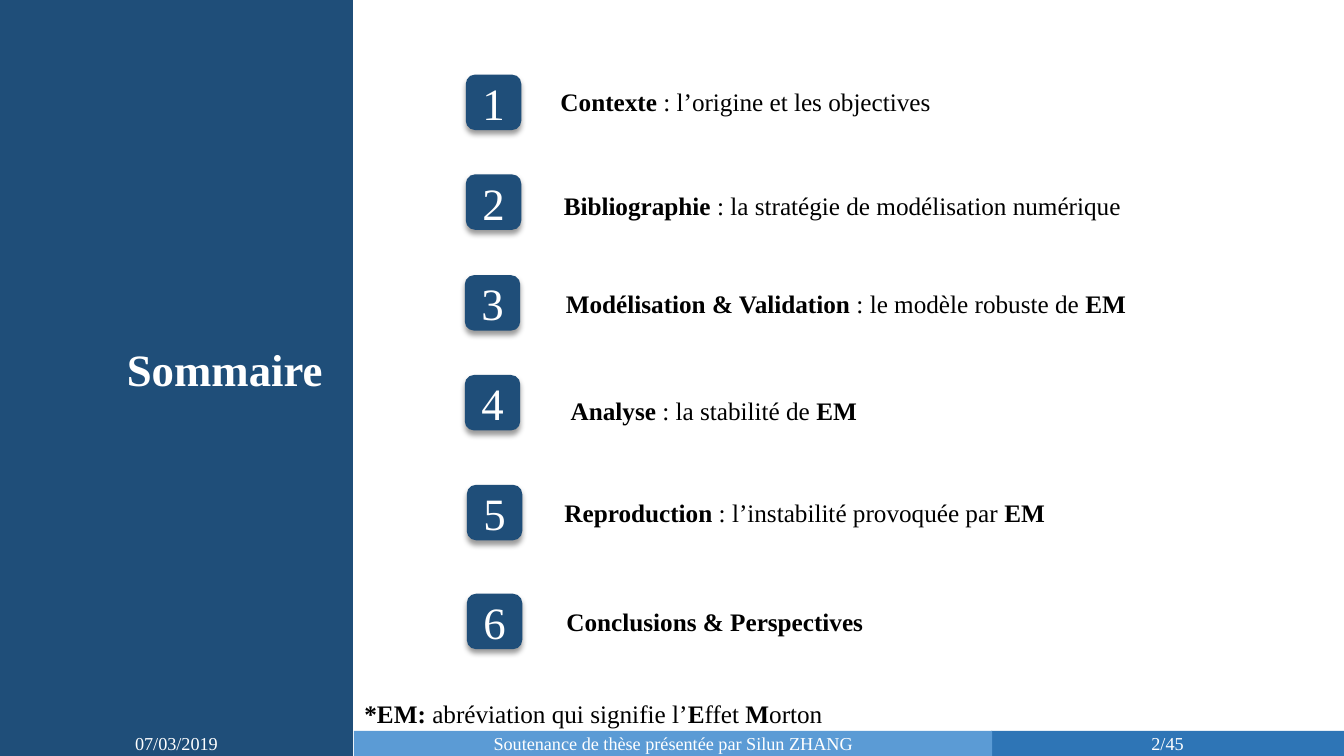
"""Build the agenda slide of a thesis defence, with sidebar, numbered topics and footer."""
from lxml import etree
from pptx import Presentation, util as u
from pptx.dml.color import RGBColor
from pptx.enum import shapes, text
from pptx.oxml.ns import qn

NAVY = RGBColor(0x1F, 0x4E, 0x79)
BLUE = RGBColor(0x2E, 0x75, 0xB6)
SKY = RGBColor(0x5B, 0x9B, 0xD5)
WHITE = RGBColor(0xFF, 0xFF, 0xFF)
BLACK = RGBColor(0, 0, 0)
FONT = "Times New Roman"
PX = u.Inches(1) // 100
SLIDE_W, SLIDE_H = 1333, 750
BADGE = 55
LABEL_H = 40
FOOTER_H = 25
CENTER, LEFT = text.PP_ALIGN.CENTER, text.PP_ALIGN.LEFT

# Bold and regular stretches alternate at each "|", starting with bold.
TOPICS = [
    ((462, 74), (544, 81, 391), CENTER, "Contexte| : l’origine et les objectives"),
    ((462, 173), (544, 184, 583), CENTER, "Bibliographie| : la stratégie de modélisation numérique"),
    ((461, 273), (550, 281, 578), CENTER, "Modélisation & Validation| : le modèle robuste de |EM"),
    ((461, 372), (556, 387, 304), CENTER, "Analyse |: la stabilité de |EM"),
    ((463, 481), (550, 488, 499), LEFT, "Reproduction| : l’instabilité provoquée par |EM"),
    ((463, 589), (550, 597, 318), CENTER, "Conclusions & Perspectives"),
]
TITLE = "Sommaire"
FOOTNOTE = "*EM: |abréviation qui signifie l’|E|ffet |M|orton"
FOOTER = [
    (983, 350, BLUE, "2/45"),
    (0, 350, NAVY, "07/03/2019"),
    (351, 633, SKY, "Soutenance de thèse présentée par Silun ZHANG"),
]


def style(paragraph, size, color, align=CENTER):
    paragraph.alignment = align
    paragraph.font.name = FONT
    paragraph.font.size = u.Pt(size)
    paragraph.font.color.rgb = color


def add_block(slide, kind, box, fill, words="", size=13):
    block = slide.shapes.add_shape(kind, *(n * PX for n in box))
    block.fill.solid()
    block.fill.fore_color.rgb = fill
    block.line.fill.background()
    block.shadow.inherit = False
    if words:
        block.text_frame.vertical_anchor = text.MSO_ANCHOR.MIDDLE
        paragraph = block.text_frame.paragraphs[0]
        paragraph.text = words
        style(paragraph, size, WHITE)
    return block


def add_label(slide, box, words, size=18, color=BLACK, align=CENTER):
    frame = slide.shapes.add_textbox(*(n * PX for n in box)).text_frame
    frame.word_wrap = False
    frame.auto_size = text.MSO_AUTO_SIZE.SHAPE_TO_FIT_TEXT
    paragraph = frame.paragraphs[0]
    style(paragraph, size, color, align)
    for index, part in enumerate(words.split("|")):
        run = paragraph.add_run()
        run.text = part
        run.font.bold = index % 2 == 0


def drop_shadow(block):
    effects = block._element.spPr.find(qn("a:effectLst"))
    shadow = etree.SubElement(effects, qn("a:outerShdw"), blurRad=str(u.Pt(4)),
                              dist=str(u.Pt(3)), dir="5400000", algn="t", rotWithShape="0")
    tint = etree.SubElement(shadow, qn("a:srgbClr"), val="000000")
    etree.SubElement(tint, qn("a:alpha"), val="40000")


def main():
    deck = Presentation()
    deck.slide_width, deck.slide_height = SLIDE_W * PX, SLIDE_H * PX
    slide = deck.slides.add_slide(deck.slide_layouts[6])
    rect, rounded = shapes.MSO_SHAPE.RECTANGLE, shapes.MSO_SHAPE.ROUNDED_RECTANGLE

    sidebar = add_block(slide, rect, (-1, 0, 350, SLIDE_H), NAVY)
    sidebar.line.color.rgb = NAVY
    sidebar.line.width = u.Pt(1)
    add_label(slide, (115, 334, 216, 64), TITLE, 32, WHITE)

    for number, (corner, (left, top, width), align, words) in enumerate(TOPICS, 1):
        drop_shadow(add_block(slide, rounded, (*corner, BADGE, BADGE), NAVY, str(number), 32))
        add_label(slide, (left, top, width, LABEL_H), words, align=align)

    for left, width, fill, words in FOOTER:
        add_block(slide, rect, (left, SLIDE_H - FOOTER_H, width, FOOTER_H), fill, words)
    add_label(slide, (349, 688, 479, LABEL_H), FOOTNOTE)
    deck.save("out.pptx")


if __name__ == "__main__":
    main()
